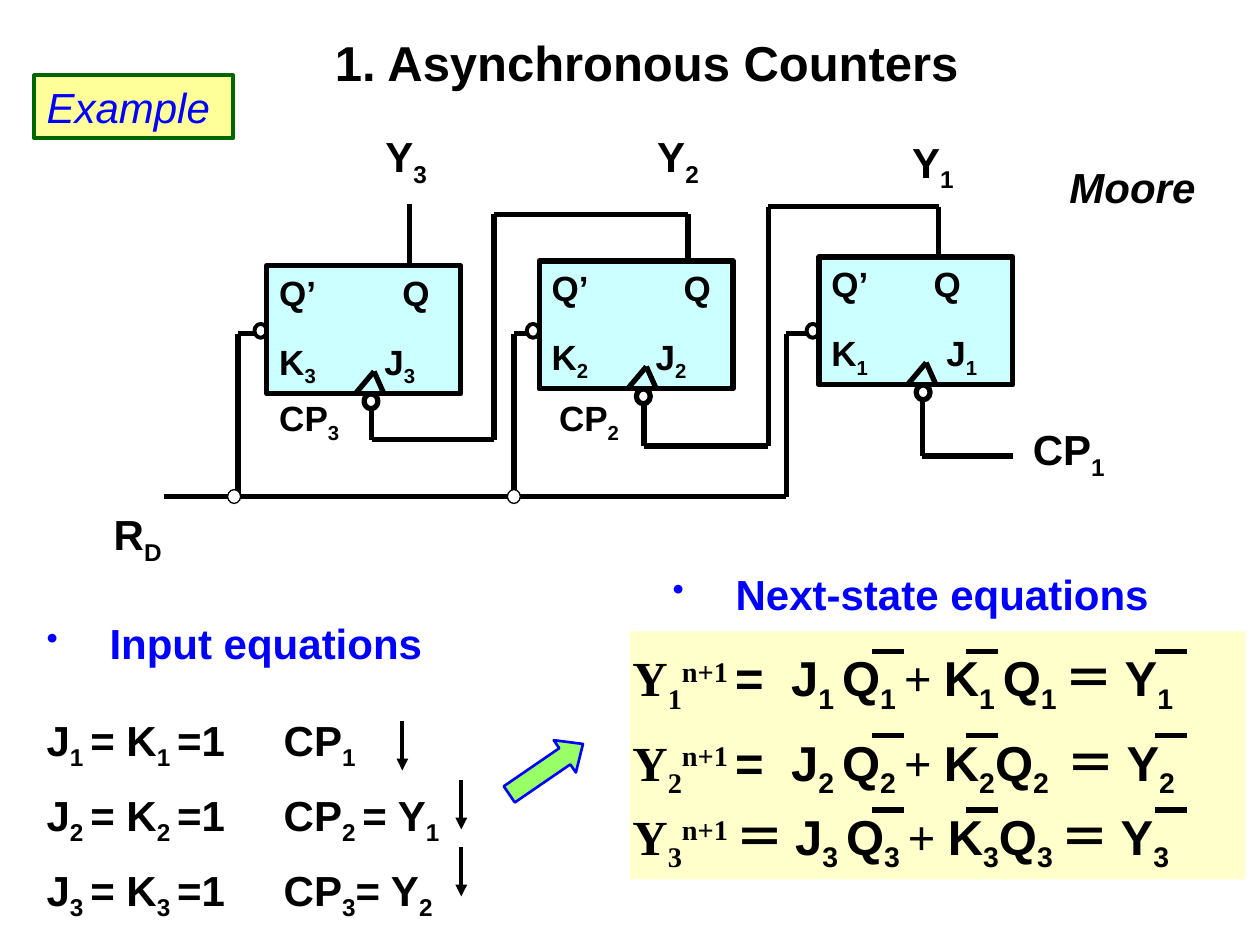
from itertools import pairwise

from lxml import etree
from pptx import Presentation
from pptx.dml.color import RGBColor
from pptx.enum import shapes, text
from pptx.oxml import ns
from pptx.util import Cm, Pt

COLORS = {
    "ink": "000000", "blue": "0000FF", "white": "FFFFFF", "cell": "CCFFFF",
    "panel": "FFFFCC", "tag": "FFFF99", "tag_line": "006600", "arrow": "99FF66",
}
SANS, SERIF = "Arial", "Times New Roman"
SHIFTS = {"_": "-25000", "^": "30000"}
INSETS = (0.25, 0.13)


def rgb(name):
    return RGBColor.from_string(COLORS[name])


def add_runs(p, parts, size=24, color="ink", font=SANS, bold=True, italic=False):
    """Add one run per part; a leading _ or ^ makes it sub- or superscript."""
    for part in parts:
        r = p.add_run()
        r.text = part.lstrip("_^")
        r.font.size, r.font.name = Pt(size), font
        r.font.bold, r.font.italic = bold, italic
        r.font.color.rgb = rgb(color)
        if part[0] in SHIFTS:
            r.font._element.set("baseline", SHIFTS[part[0]])


def add_tab(p, pos):
    tabs = etree.SubElement(p._p.get_or_add_pPr(), ns.qn("a:tabLst"))
    etree.SubElement(tabs, ns.qn("a:tab"), pos=str(Cm(pos)), algn="l")


def add_bullet(p, color):
    pPr = p._p.get_or_add_pPr()
    pPr.set("marL", str(Cm(1.27)))
    pPr.set("indent", str(Cm(-1.27)))
    clr = etree.SubElement(pPr, ns.qn("a:buClr"))
    etree.SubElement(clr, ns.qn("a:srgbClr"), val=COLORS[color])
    etree.SubElement(pPr, ns.qn("a:buSzPct"), val="80000")
    etree.SubElement(pPr, ns.qn("a:buChar"), char="•")


def frame(sp, insets=INSETS):
    """Prepare a shape's text frame and return it."""
    tf = sp.text_frame
    tf.word_wrap = True
    tf.auto_size = text.MSO_AUTO_SIZE.NONE
    tf.vertical_anchor = text.MSO_ANCHOR.TOP
    tf.margin_left = tf.margin_right = Cm(insets[0])
    tf.margin_top = tf.margin_bottom = Cm(insets[1])
    tf.paragraphs[0].alignment = text.PP_ALIGN.LEFT
    return tf


def text_box(s, x, y, w, h):
    return frame(s.shapes.add_textbox(Cm(x), Cm(y), Cm(w), Cm(h)))


def label(s, x, y, w, parts, h=1.42, **style):
    p = text_box(s, x, y, w, h).paragraphs[0]
    add_runs(p, parts, **style)
    return p


def add_shape(s, kind, x, y, w, h, fill=None, line=None, width=3):
    sp = s.shapes.add_shape(kind, Cm(x), Cm(y), Cm(w), Cm(h))
    sp.shadow.inherit = False
    if fill:
        sp.fill.solid()
        sp.fill.fore_color.rgb = rgb(fill)
    else:
        sp.fill.background()
    if line:
        sp.line.color.rgb = rgb(line)
        sp.line.width = Pt(width)
    else:
        sp.line.fill.background()
    return sp


def wire(s, x, y, points, width=3, arrow=False):
    """Join points, given relative to x and y, with straight lines."""
    for (x1, y1), (x2, y2) in pairwise(points):
        c = s.shapes.add_connector(shapes.MSO_CONNECTOR.STRAIGHT, Cm(x + x1),
                                   Cm(y + y1), Cm(x + x2), Cm(y + y2))
        c.line.color.rgb = rgb("ink")
        c.line.width = Pt(width)
        if arrow:
            etree.SubElement(c.line._get_or_add_ln(), ns.qn("a:tailEnd"), type="triangle")
        etree.SubElement(c._element.spPr, ns.qn("a:effectLst"))


def flip_flop(s, x, y, n, q_tab, j_tab):
    w, h = 3.91, 2.58
    oval = shapes.MSO_SHAPE.OVAL
    box = add_shape(s, shapes.MSO_SHAPE.RECTANGLE, x, y, w, h, "cell", "ink")
    tf = frame(box, (0.25, 0.03))
    rows = ((tf.paragraphs[0], q_tab, ["Q’\tQ"]),
            (tf.add_paragraph(), j_tab, ["K", f"_{n}", "\tJ", f"_{n}"]))
    for p, tab, parts in rows:
        p.alignment = text.PP_ALIGN.LEFT
        p.line_spacing = 1.1
        add_tab(p, tab)
        add_runs(p, parts, size=20)
    tf.paragraphs[1].space_before = Pt(12.5)
    wire(s, x, y, [(1.78, h), (2.16, 2.13), (2.36, h)])
    add_shape(s, oval, x + 1.96, y + h, 0.28, 0.3, line="ink")
    add_shape(s, oval, x - 0.25, 6.53, 0.25, 0.28, line="ink", width=2.25)


def circuit(s, x, y):
    reset_y, rail_y = 4.23, 7.51
    stages = ((3, 4.08, 2.86, 2.48, 2.12, 3.5), (2, 9.57, 2.76, 2.66, 2.1, 9.06),
              (1, 15.21, 2.68, 2.06, 2.32, 14.55))
    for n, left, top, q_tab, j_tab, reset_x in stages:
        flip_flop(s, x + left, y + top, n, q_tab, j_tab)
        wire(s, x, y, [(left - 0.25, reset_y), (reset_x, reset_y), (reset_x, rail_y)])
    wires = (
        [(6.19, 5.73), (6.19, 6.36), (8.66, 6.36), (8.66, 1.82), (12.57, 1.82), (12.57, 2.76)],
        [(11.68, 5.63), (11.68, 6.49), (14.19, 6.49), (14.19, 1.67), (17.62, 1.67), (17.62, 2.68)],
        [(17.29, 5.58), (17.29, 6.69), (19.12, 6.69)],
        [(6.96, 1.61), (6.96, 2.86)],
        [(2, rail_y), (14.55, rail_y)],
    )
    for points in wires:
        wire(s, x, y, points)
    for node_x in (3.42, 9.06):
        add_shape(s, shapes.MSO_SHAPE.OVAL, x + node_x - 0.13, y + rail_y - 0.14,
                  0.26, 0.28, "white", "ink", 0.75)
    for dx, dy, name, sub, size in (
            (6.22, 0.01, "Y", 3, 24), (11.7, 0.01, "Y", 2, 24), (16.84, 0.12, "Y", 1, 24),
            (4.08, 5.37, "CP", 3, 20), (9.72, 5.37, "CP", 2, 20), (19.27, 5.91, "CP", 1, 24)):
        label(s, x + dx, y + dy, 2.74, [name, f"_{sub}"], size=size)
    label(s, x, y + 7.63, 2.21, ["R", "_D"]).alignment = text.PP_ALIGN.RIGHT


def heading(s, x, y, w, words):
    p = text_box(s, x, y, w, 1.27).paragraphs[0]
    add_bullet(p, "blue")
    add_runs(p, [words], color="blue")


def input_equations(s, x, y):
    heading(s, x, y, 8.61, "Input equations")
    tf = text_box(s, x, y + 2.01, 9.4, 4.27)
    clocks = (["_1"], ["_2 ", "= Y", "_1"], ["_3", "= Y", "_2"])
    for n, clock in enumerate(clocks, 1):
        p = tf.paragraphs[0] if n == 1 else tf.add_paragraph()
        p.line_spacing = 0.85
        if n > 1:
            p.space_before = Pt(15)
        add_tab(p, 4.78)
        add_runs(p, ["J", f"_{n} ", "= K", f"_{n} ", "=1\tCP", *clock])
    for dx, dy in ((7.42, 2.21), (8.61, 3.4), (8.61, 4.75)):
        wire(s, x + dx, y + dy, [(0, 0), (0, 1)], 2.25, arrow=True)


def next_state_equations(s, x, y):
    heading(s, x + 0.61, y - 1.4, 10.21, "Next-state equations")
    add_shape(s, shapes.MSO_SHAPE.RECTANGLE, x, y, 12.4, 5, "panel")
    rows = ((0.2, 3.2, "=\tJ", ["_1 ", "Q", "_1 ", "＝ Y"]),
            (1.9, 3.2, "=\tJ", ["_2", "Q", "_2", "\t＝ Y"]),
            (3.4, None, "＝ J", ["_3", "Q", "_3 ", "＝ Y"]))
    for n, (dy, j_tab, equals, tail) in enumerate(rows, 1):
        p = text_box(s, x - 0.2, y + dy, 12.9, 1.6).paragraphs[0]
        if j_tab:
            add_tab(p, j_tab)
            tabs = p._p.pPr.find(ns.qn("a:tabLst"))
            etree.SubElement(tabs, ns.qn("a:tab"), pos=str(Cm(8.75)), algn="l")
        add_runs(p, ["Y", f"_{n}", "^n+1 "], 28, font=SERIF)
        add_runs(p, [equals, f"_{n} ", "Q", f"_{n} "], 28)
        add_runs(p, ["+ "], 28, font=SERIF)
        add_runs(p, ["K", *tail, f"_{n}"], 28)
        for bar_x in (4.88, 6.78, 10.59):
            wire(s, x + bar_x, y + dy + 0.2, [(0, 0), (0.64, 0)])


def header(s):
    title = s.shapes.title
    title.left, title.top, title.width, title.height = Cm(6.5), Cm(0.53), Cm(14), Cm(1.45)
    add_runs(frame(title).paragraphs[0], ["1. Asynchronous Counters"], 28)
    tag = add_shape(s, shapes.MSO_SHAPE.RECTANGLE, 0.69, 1.52, 4.01, 1.27,
                    "tag", "tag_line", 2.25)
    add_runs(frame(tag).paragraphs[0], ["Example"], color="blue", bold=False, italic=True)
    label(s, 21.31, 3.12, 3.3, ["Moore"], h=1.27, italic=True)


def main():
    prs = Presentation()
    prs.slide_width, prs.slide_height = Cm(25.4), Cm(19.05)
    s = prs.slides.add_slide(prs.slide_layouts[5])
    header(s)
    circuit(s, 1.3, 2.5)
    input_equations(s, 0.69, 12.32)
    next_state_equations(s, 12.7, 12.73)
    arrow = add_shape(s, shapes.MSO_SHAPE.RIGHT_ARROW, 10.11, 15.11, 1.8, 0.79,
                      "arrow", "blue", 1.5)
    arrow.adjustments[0], arrow.adjustments[1] = 0.5, 0.56
    arrow.rotation = 325.6
    prs.save("out.pptx")


if __name__ == "__main__":
    main()
